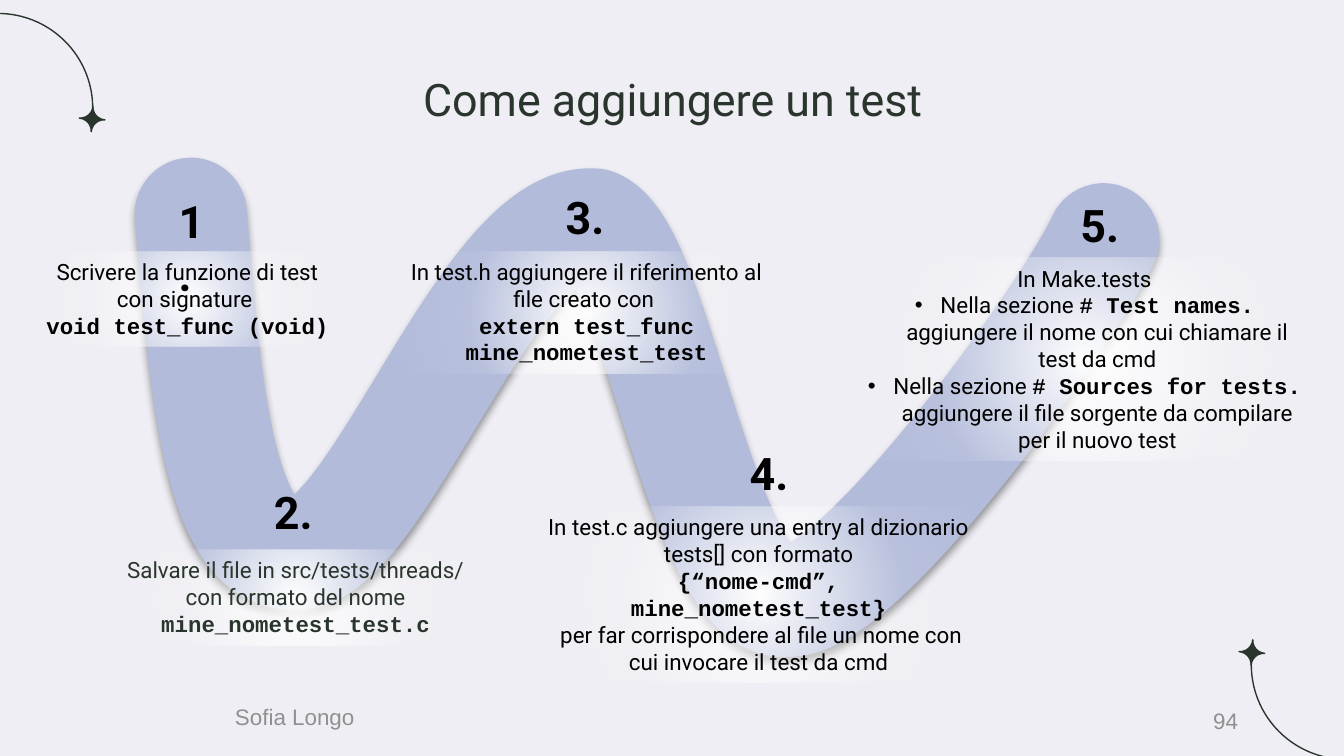
from lxml.etree import SubElement
from pptx import Presentation
from pptx.dml.color import RGBColor
from pptx.enum.shapes import MSO_SHAPE as Shape
from pptx.enum.text import MSO_ANCHOR as Anchor, MSO_AUTO_SIZE as AutoSize, PP_ALIGN as Align
from pptx.oxml import parse_xml
from pptx.oxml.ns import nsdecls, qn
from pptx.util import Inches, Pt

BACKGROUND = RGBColor(0xEF, 0xEE, 0xF4)
DARK = RGBColor(0x2A, 0x36, 0x2D)
GRAY = RGBColor(0x8E, 0x91, 0x8F)
BLUE = RGBColor(0xB2, 0xBB, 0xDA)
BLACK = RGBColor(0, 0, 0)
BODY_FONT = "Roboto"
CODE_FONT = "Courier New"
FOOTER_FONT = "Arial"

GLOW = f"""<a:gradFill {nsdecls("a")} rotWithShape="1"><a:gsLst>
<a:gs pos="0"><a:srgbClr val="FFFFFF"/></a:gs>
<a:gs pos="59000"><a:srgbClr val="FFFFFF"><a:alpha val="8000"/></a:srgbClr></a:gs>
<a:gs pos="100000"><a:srgbClr val="FFFFFF"><a:alpha val="0"/></a:srgbClr></a:gs>
</a:gsLst><a:path path="circle"><a:fillToRect l="50000" t="50000" r="50000" b="50000"/>
</a:path></a:gradFill>"""
SHADOW = f"""<a:effectLst {nsdecls("a")}>
<a:outerShdw blurRad="50800" dist="38100" dir="5400000" algn="t" rotWithShape="0">
<a:srgbClr val="000000"><a:alpha val="40000"/></a:srgbClr></a:outerShdw></a:effectLst>"""

ROAD = [
    (1.42, 1.59), (1.52, 2.82), (1.62, 4.14), (2.19, 4.12),
    (2.8, 4.16), (3.62, 1.61), (4.42, 1.67),
    (4.9, 1.85), (5.22, 4.59), (5.88, 4.47),
    (6.44, 4.45), (7.98, 2.29), (8.21, 1.78),
]

ORNAMENTS = [((-0.72, 0.1), (0.59, 0.79), 0), ((9.31, 4.24), (9.22, 4.76), 180)]

STEPS = [
    ("2.", (1.94, 3.56, 0.49, 0.5), (0.77, 4.09, 2.86, 0.71), DARK, [
        [("Salvare il file in src/tests/threads/ con formato del nome ", False),
         ("mine_nometest_test.c", True)],
    ]),
    ("1.", (1.23, 1.39, 0.41, 0.5), (0.17, 1.87, 2.45, 0.71), BLACK, [
        [("Scrivere la funzione di test con signature ", False)],
        [("void test_func (void)", True)],
    ]),
    ("3.", (4.11, 1.36, 0.49, 0.5), (2.95, 1.87, 2.83, 0.91), BLACK, [
        [("In test.h aggiungere il riferimento al file creato con ", False)],
        [("extern test_func mine_nometest_test", True)],
    ]),
    ("4.", (5.48, 3.27, 0.51, 0.5), (3.96, 3.77, 3.37, 1.31), BLACK, [
        [("In test.c aggiungere una entry al dizionario tests[] con formato", False)],
        [("{“nome-cmd”, mine_nometest_test}", True)],
        [(" per far corrispondere al file un nome con cui invocare il test da cmd", False)],
    ]),
    ("5.", (7.94, 1.42, 0.5, 0.5), (6.31, 1.92, 3.52, 1.51), BLACK, [
        [("In Make.tests", False)],
        [("Nella sezione ", False), ("# Test names. ", True),
         ("aggiungere il nome con cui chiamare il test da cmd", False)],
        [("Nella sezione ", False), ("# Sources for tests. ", True),
         ("aggiungere il file sorgente da compilare per il nuovo test", False)],
    ]),
]


class SlideBuilder:
    def __init__(self, slide):
        self.slide = slide
        slide.background.fill.solid()
        slide.background.fill.fore_color.rgb = BACKGROUND

    def style(self, font, size, color, name=BODY_FONT, bold=False):
        font.size, font.name, font.bold = Pt(size), name, bold
        font.color.rgb = color

    def title(self, text, box):
        shape = self.slide.shapes.title
        shape.left, shape.top, shape.width, shape.height = map(Inches, box)
        frame = shape.text_frame
        frame.text = text
        frame.auto_size = AutoSize.NONE
        frame.vertical_anchor = Anchor.TOP
        frame.margin_top = frame.margin_bottom = Inches(0.1)
        frame.margin_left = frame.margin_right = Inches(0.1)
        frame.paragraphs[0].alignment = Align.CENTER
        self.style(frame.paragraphs[0].runs[0].font, 24, DARK)

    def label(self, text, box, size, color, name=BODY_FONT, bold=False,
              align=Align.LEFT, anchor=Anchor.TOP, wrap=True):
        frame = self.slide.shapes.add_textbox(*map(Inches, box)).text_frame
        frame.text = text
        frame.word_wrap = wrap
        frame.vertical_anchor = anchor
        frame.paragraphs[0].alignment = align
        self.style(frame.paragraphs[0].runs[0].font, size, color, name, bold)

    def ornament(self, arc_corner, star_corner, rotation):
        arc = self.slide.shapes.add_shape(
            Shape.ARC, *map(Inches, (*arc_corner, 1.41, 1.41)))
        arc.adjustments[0], arc.adjustments[1] = 162, 0.404
        arc.rotation = rotation
        arc.fill.background()
        star = self.slide.shapes.add_shape(
            Shape.PLAQUE, *map(Inches, (*star_corner, 0.19, 0.19)))
        star.adjustments[0] = 0.5
        star.rotation = rotation + 3.9
        star.fill.solid()
        star.fill.fore_color.rgb = DARK
        for shape in (arc, star):
            shape.shadow.inherit = False
            shape.line.color.rgb = DARK
            shape.line.width = Pt(0.75)

    def road(self, points):
        start, *rest = [(Inches(x), Inches(y)) for x, y in points]
        builder = self.slide.shapes.build_freeform(*start)
        builder.add_line_segments(rest, close=False)
        shape = builder.convert_to_shape()
        shape.fill.background()
        shape.line.color.rgb = BLUE
        shape.line.width = Pt(60)
        properties = shape.element.spPr
        outline = properties.find(qn("a:ln"))
        outline.set("cap", "rnd")
        SubElement(outline, qn("a:round"))
        outline.addnext(parse_xml(SHADOW))
        segments = list(properties.iter(qn("a:lnTo")))
        curve = segments[0].getparent()
        for index in range(0, len(segments), 3):
            bezier = SubElement(curve, qn("a:cubicBezTo"))
            for segment in segments[index:index + 3]:
                bezier.append(segment[0])
                curve.remove(segment)

    def step(self, box, color, paragraphs):
        shape = self.slide.shapes.add_shape(Shape.RECTANGLE, *map(Inches, box))
        shape.shadow.inherit = False
        shape.line.fill.background()
        shape.element.spPr.find(qn("a:prstGeom")).addnext(parse_xml(GLOW))
        frame = shape.text_frame
        frame.word_wrap = True
        frame.auto_size = AutoSize.SHAPE_TO_FIT_TEXT
        frame.vertical_anchor = Anchor.TOP
        for index, parts in enumerate(paragraphs):
            paragraph = frame.add_paragraph() if index else frame.paragraphs[0]
            paragraph.alignment = Align.CENTER
            if len(parts) == 3:
                self.bullet(paragraph)
            for text, is_code in parts:
                run = paragraph.add_run()
                run.text = text
                self.style(run.font, 12, color, CODE_FONT if is_code else BODY_FONT, is_code)

    def bullet(self, paragraph):
        properties = paragraph._p.get_or_add_pPr()
        properties.set("marL", str(Inches(0.19)))
        properties.set("indent", str(Inches(-0.19)))
        bullet_color = SubElement(properties, qn("a:buClr"))
        SubElement(bullet_color, qn("a:srgbClr"), val=str(BLACK))
        SubElement(properties, qn("a:buFont"), typeface=FOOTER_FONT)
        SubElement(properties, qn("a:buChar"), char="•")


def main():
    presentation = Presentation()
    presentation.slide_width = Inches(10)
    presentation.slide_height = Inches(10) * 9 // 16
    builder = SlideBuilder(presentation.slides.add_slide(presentation.slide_layouts[5]))
    builder.label("Sofia Longo", (1.65, 5.18, 2.25, 0.3), 12, GRAY, FOOTER_FONT,
                  anchor=Anchor.MIDDLE)
    for ornament in ORNAMENTS:
        builder.ornament(*ornament)
    builder.road(ROAD)
    builder.label("94", (7.06, 5.21, 2.25, 0.3), 12, GRAY, FOOTER_FONT,
                  align=Align.RIGHT, anchor=Anchor.MIDDLE)
    builder.title("Come aggiungere un test", (0.79, 0.43, 8.43, 0.63))
    for number, number_box, box, color, paragraphs in STEPS:
        builder.step(box, color, paragraphs)
        builder.label(number, number_box, 24, BLACK, bold=True, wrap=number == "1.")
    presentation.save("out.pptx")


if __name__ == "__main__":
    main()
